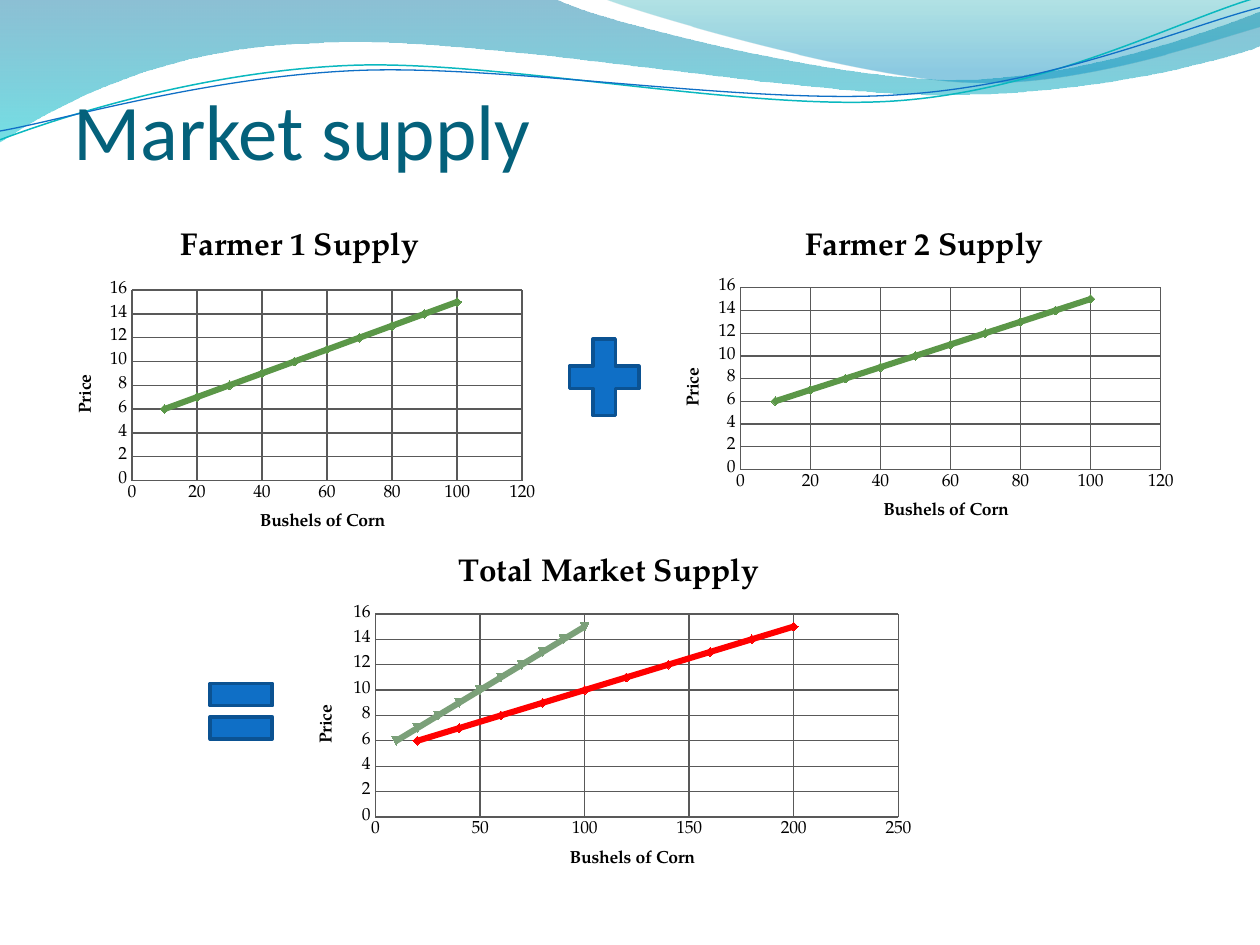
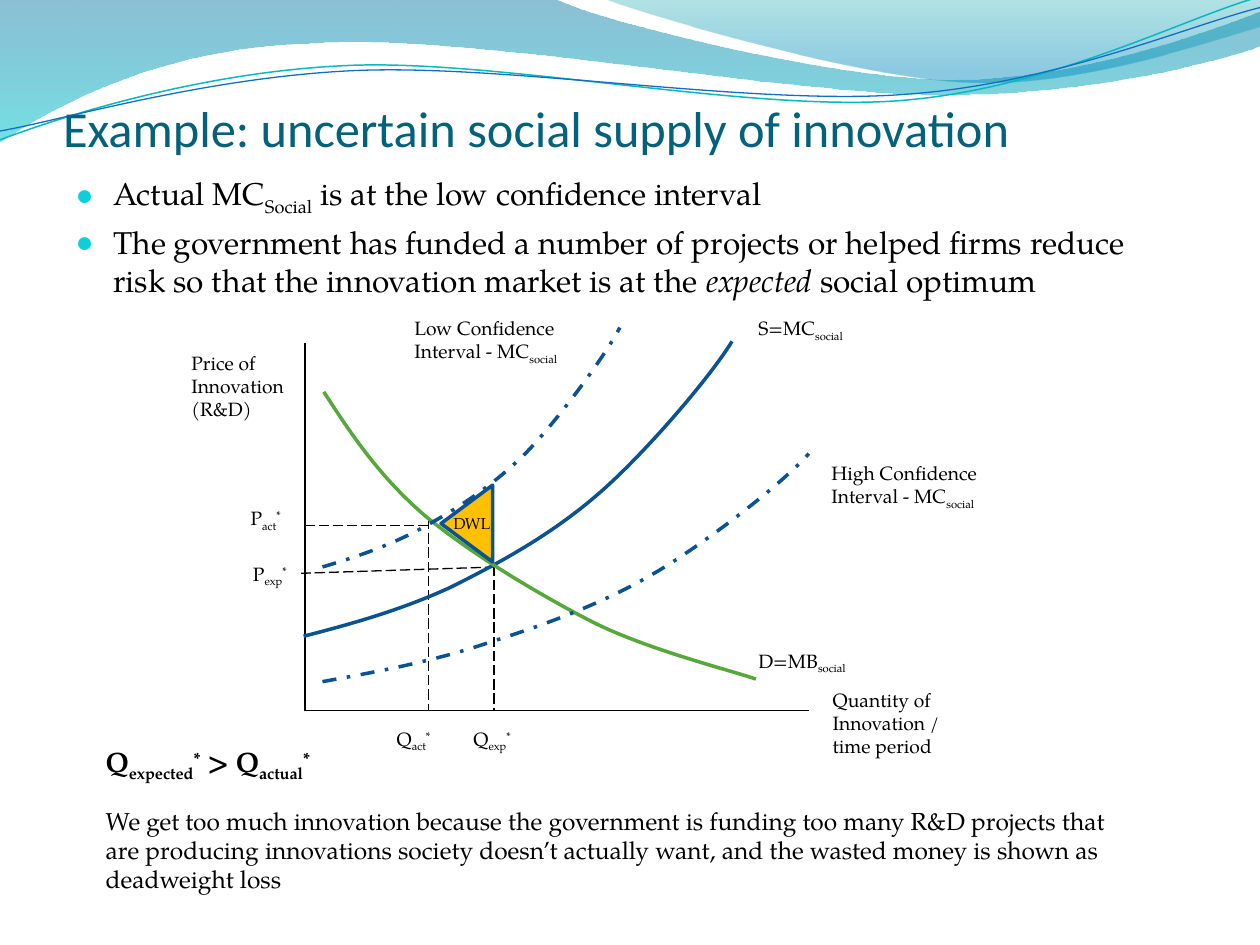
import pptx
import pptx.chart.data
import pptx.dml.color
import pptx.enum.chart
import pptx.enum.dml
import pptx.enum.shapes
import pptx.enum.text
import pptx.oxml.ns
import pptx.util
from lxml import etree

Inches = pptx.util.Inches
Pt = pptx.util.Pt
qn = pptx.oxml.ns.qn
rgb = pptx.dml.color.RGBColor.from_string
DASH = pptx.enum.dml.MSO_LINE
SHAPE = pptx.enum.shapes.MSO_SHAPE

BLACK, BLUE, NAVY, RED = "000000", "0F6FC6", "0B5292", "FF0000"
LEAF, SAGE, DEMAND_GREEN, GRID_GREY = "5B9748", "7BA079", "55A839", "595959"
SERIF = "TeX Gyre Pagella"
TITLE_LOOK = {"name": "Calibri", "bold": False}
LABEL_LOOK = {"name": SERIF, "size": Pt(11)}


def write(para, text, look, color=BLACK):
    for piece in text.split("|"):
        span = para.add_run()
        span.text = piece.lstrip("_^~")
        for key, value in look.items():
            setattr(span.font, key, value)
        span.font.color.rgb = rgb(color)
        if piece[0] in "_^":
            span.font._element.set("baseline", "-25000" if piece[0] == "_" else "30000")
        if piece[0] == "~":
            span.font.italic = True


def draw_curve(page, start, segments, color=None, width=2, dash=None):
    builder = page.shapes.build_freeform(*map(Inches, start))
    points = [pair for segment in segments for pair in zip(segment[::2], segment[1::2])]
    builder.add_line_segments([(Inches(x), Inches(y)) for x, y in points], close=color is None)
    curve = builder.convert_to_shape()
    outline = curve.element.find(".//" + qn("a:path"))
    steps = iter(outline.findall(qn("a:lnTo")))
    for segment in segments:
        bend = next(steps)
        if len(segment) == 6:
            bend.tag = qn("a:cubicBezTo")
            for follower in (next(steps), next(steps)):
                bend.append(follower[0])
                outline.remove(follower)
    curve.shadow.inherit = False
    curve.fill.background()
    if color is None:
        curve.line.fill.background()
    else:
        curve.line.color.rgb = rgb(color)
        curve.line.width = Pt(width)
        curve.line.dash_style = dash
    return curve


deck = pptx.Presentation()
deck.slide_width, deck.slide_height = Inches(10), Inches(7.5)
market_page = deck.slides.add_slide(deck.slide_layouts[5])
innovation_page = deck.slides.add_slide(deck.slide_layouts[1])

left_wave = draw_curve(market_page, (0, 0), [
    (4.4, -0.01), (4.76, 0.17, 6.64, 0.63, 7.58, 0.63), (8.53, 0.63, 9.58, 0.26, 10, 0.09),
    (10.01, 0.36), (9.83, 0.44, 8.7, 0.76, 7.46, 0.75), (6.22, 0.75, 3.82, 0.28, 2.57, 0.34),
    (1.29, 0.36, 0.46, 0.83, -0.01, 1.13), (0, 0)])
right_wave = draw_curve(market_page, (4.79, -0.01), [
    (5.09, 0.11, 6.82, 0.62, 7.69, 0.65), (8.56, 0.69, 9.61, 0.32, 10, 0.21), (10, 0),
    (4.79, -0.01)])
for wave, stops in (
    (left_wave, [("0074A1", 0, 45), ("00C6CF", 1, 55)]),
    (right_wave, [("00A1A9", 0, 30), ("008BBF", 0.8, 45)]),
):
    wave.fill.gradient()
    wave.fill.gradient_angle = 270
    for stop, (color, position, opacity) in zip(wave.fill.gradient_stops, stops):
        stop.color.rgb = rgb(color)
        stop.position = position
    for tint, (color, position, opacity) in zip(wave.element.iter(qn("a:srgbClr")), stops):
        etree.SubElement(tint, qn("a:alpha"), val=str(opacity * 1000))
teal_line = draw_curve(market_page, (0, 1.11), [
    (0.48, 0.93, 1.58, 0.57, 2.77, 0.52), (3.95, 0.47, 5.93, 0.89, 7.13, 0.8),
    (8.33, 0.71, 9.38, 0.15, 9.98, -0.02)], "0AB8BF", 0.85)
blue_line = draw_curve(market_page, (0, 1.04), [
    (0.47, 0.96, 1.64, 0.61, 2.83, 0.56), (4.03, 0.51, 5.97, 0.84, 7.17, 0.75),
    (8.36, 0.67, 9.41, 0.21, 10, 0.06)], BLUE, 0.75)
master_tree = deck.slide_master.shapes.element
for index, part in enumerate((left_wave, right_wave, teal_line, blue_line)):
    master_tree.insert(2 + index, part.element)

for page, text, left, top, size in (
    (market_page, "Market supply", 0.58, 0.92, 45),
    (innovation_page, "Example: uncertain social supply of innovation", 0.5, 0.77, 28.8),
):
    title = page.shapes.title
    title.left, title.top, title.width, title.height = map(Inches, (left, top, 9, 0.48))
    frame_format = {
        "margin_left": 0, "margin_right": 0, "margin_top": Inches(0.05), "margin_bottom": 0,
        "vertical_anchor": pptx.enum.text.MSO_ANCHOR.BOTTOM,
        "auto_size": pptx.enum.text.MSO_AUTO_SIZE.NONE, "word_wrap": True,
    }
    for key, value in frame_format.items():
        setattr(title.text_frame, key, value)
    para = title.text_frame.paragraphs[0]
    para.alignment = pptx.enum.text.PP_ALIGN.LEFT
    write(para, text, TITLE_LOOK | {"size": Pt(size)}, "04617B")

prices = range(6, 16)
single = range(10, 101, 10)
double = range(20, 201, 20)
for name, place, plot_place, supplies in (
    ("Farmer 1 Supply", (0.42, 1.67, 3.92, 2.75), (0.16, 0.23, 0.79, 0.55), [(single, LEAF)]),
    ("Farmer 2 Supply", (5.25, 1.67, 4.17, 2.67), (0.15, 0.23, 0.8, 0.54), [(single, LEAF)]),
    ("Total Market Supply", (2.33, 4.25, 5, 2.83), (0.13, 0.22, 0.83, 0.57),
     [(double, RED), (single, SAGE)]),
):
    data = pptx.chart.data.XyChartData()
    for number, (bushels, color) in enumerate(supplies, 1):
        series = data.add_series(f"Series {number}")
        for quantity, price in zip(bushels, prices):
            series.add_data_point(quantity, price)
    chart = market_page.shapes.add_chart(
        pptx.enum.chart.XL_CHART_TYPE.XY_SCATTER_SMOOTH, *map(Inches, place), data).chart
    chart.has_legend = False
    chart.font.name, chart.font.size = SERIF, Pt(10)
    chart.font.color.rgb = rgb(BLACK)
    chart.has_title = True
    write(chart.chart_title.text_frame.paragraphs[0], name,
          {"name": SERIF, "size": Pt(18), "bold": True})
    for axis, caption in (
        (chart.category_axis, "Bushels of Corn"),
        (chart.value_axis, "Price "),
    ):
        axis_format = {
            "has_major_gridlines": True, "has_title": True,
            "major_tick_mark": pptx.enum.chart.XL_TICK_MARK.NONE,
            "minor_tick_mark": pptx.enum.chart.XL_TICK_MARK.NONE,
        }
        for key, value in axis_format.items():
            setattr(axis, key, value)
        for line in (axis.format.line, axis.major_gridlines.format.line):
            line.color.rgb = rgb(GRID_GREY)
            line.width = Pt(0.75)
        write(axis.axis_title.text_frame.paragraphs[0], caption,
              {"name": SERIF, "size": Pt(10), "bold": True})
    chart.plots[0].vary_by_categories = False
    for series, (bushels, color) in zip(chart.plots[0].series, supplies):
        series.smooth = True
        series.format.line.color.rgb = rgb(color)
        series.format.line.width = Pt(3.5)
        series.marker.size = 5
        for marker_part in (series.marker.format.fill, series.marker.format.line.fill):
            marker_part.solid()
            marker_part.fore_color.rgb = rgb(color)
    plot_area = chart._chartSpace.find(".//" + qn("c:plotArea"))
    for layout in plot_area.findall(qn("c:layout")):
        plot_area.remove(layout)
    layout = etree.Element(qn("c:layout"))
    plot_area.insert(0, layout)
    manual = etree.SubElement(layout, qn("c:manualLayout"))
    for tag, value in zip(("layoutTarget", "xMode", "yMode", "x", "y", "w", "h"),
                          ("inner", "edge", "edge") + plot_place):
        etree.SubElement(manual, qn("c:" + tag), val=str(value))

body = innovation_page.placeholders[1]
body.left, body.top, body.width, body.height = map(Inches, (0.5, 1.33, 9, 5.58))
body.text_frame.auto_size = pptx.enum.text.MSO_AUTO_SIZE.NONE
for index, text in enumerate((
    "Actual MC|_Social| is at the low confidence interval",
    "The government has funded a number of projects or helped firms reduce risk so that "
    "the innovation market is at the |~expected |social optimum",
)):
    para = body.text_frame.add_paragraph() if index else body.text_frame.paragraphs[0]
    write(para, text, {"name": SERIF, "size": Pt(18)})
    para.space_before = Pt(3.6)
    properties = para._p.get_or_add_pPr()
    properties.set("marL", str(Inches(0.3)))
    properties.set("indent", str(Inches(-0.3)))
    bullet_color = etree.SubElement(properties, qn("a:buClr"))
    etree.SubElement(bullet_color, qn("a:srgbClr"), val="0BD0D9")
    etree.SubElement(properties, qn("a:buSzPct"), val="95000")
    etree.SubElement(properties, qn("a:buChar"), char="●")

axis_x, axis_y, actual_x, expected_x = 2.42, 5.64, 3.4, 3.92
for x1, y1, x2, y2, width, dash in (
    (axis_x, 2.72, axis_x, axis_y, 1, None),
    (axis_x, axis_y, 6.42, axis_y, 1, None),
    (expected_x, 4.49, expected_x, axis_y, 0.75, DASH.LONG_DASH),
    (actual_x, 4.17, 2.41, 4.17, 0.75, DASH.LONG_DASH),
    (3.93, 4.5, 2.39, 4.55, 0.75, DASH.LONG_DASH),
    (actual_x, 4.12, actual_x, axis_y, 0.75, DASH.LONG_DASH),
):
    connector = innovation_page.shapes.add_connector(
        pptx.enum.shapes.MSO_CONNECTOR.STRAIGHT, *map(Inches, (x1, y1, x2, y2)))
    connector.line.color.rgb = rgb(BLACK)
    connector.line.width = Pt(width)
    connector.line.dash_style = dash
    etree.SubElement(connector.element.spPr, qn("a:effectLst"))

draw_curve(innovation_page, (2.41, 5.05), [
    (2.8, 4.95, 3.19, 4.84, 3.58, 4.66), (3.96, 4.47, 4.37, 4.25, 4.75, 3.92),
    (5.12, 3.6, 5.64, 2.99, 5.81, 2.71)], NAVY)
draw_curve(innovation_page, (2.57, 3.11), [
    (2.79, 3.45, 3.01, 3.78, 3.37, 4.09), (3.73, 4.39, 4.28, 4.72, 4.71, 4.94),
    (5.15, 5.16, 5.8, 5.32, 6, 5.39)], DEMAND_GREEN)
draw_curve(innovation_page, (2.56, 4.5), [
    (2.83, 4.42, 3.1, 4.33, 3.37, 4.18), (3.64, 4.03, 3.92, 3.85, 4.18, 3.59),
    (4.44, 3.32, 4.8, 2.83, 4.92, 2.6)], NAVY, dash=DASH.DASH_DOT)
draw_curve(innovation_page, (2.56, 5.41), [
    (3, 5.33, 3.44, 5.25, 3.88, 5.1), (4.32, 4.96, 4.79, 4.79, 5.21, 4.54),
    (5.63, 4.29, 6.23, 3.82, 6.42, 3.6)], NAVY, dash=DASH.DASH_DOT)

for page, kind, place, rotation, color in (
    (market_page, SHAPE.MATH_PLUS, (4.42, 2.58, 0.75, 0.83), 0, BLUE),
    (market_page, SHAPE.MATH_EQUAL, (1.58, 5.27, 0.67, 0.75), 0, BLUE),
    (innovation_page, SHAPE.ISOSCELES_TRIANGLE, (3.4, 3.95, 0.61, 0.41), 270, "FFC000"),
):
    symbol = page.shapes.add_shape(kind, *map(Inches, place))
    symbol.rotation = rotation
    symbol.shadow.inherit = False
    symbol.fill.solid()
    symbol.fill.fore_color.rgb = rgb(color)
    symbol.line.color.rgb = rgb(NAVY)
    symbol.line.width = Pt(2)

conclusion = (
    "We get too much innovation because the government is funding too many R&D projects that "
    "are producing innovations society doesn’t actually want, and the wasted money is shown "
    "as deadweight loss")
for place, lines in (
    ((1.42, 2.74, 0.97, 0.66), [("Price of Innovation (R&D)", {})]),
    ((1.91, 4.41, 0.56, 0.29), [("P|_exp|^*", {})]),
    ((1.89, 3.97, 0.53, 0.29), [("P|_act|^*", {})]),
    ((3.66, 5.72, 0.54, 0.29), [("Q|_exp|^*", {})]),
    ((3.05, 5.72, 0.54, 0.29), [("Q|_act|^*", {})]),
    ((5.92, 2.46, 1.16, 0.29), [("S=MC|_social", {})]),
    ((5.92, 5.1, 1.16, 0.29), [("D=MB|_social", {})]),
    ((6.51, 5.41, 1.17, 0.66), [("Quantity of Innovation / time period", {})]),
    ((6.5, 3.61, 1.44, 0.66), [("High Confidence Interval - MC|_social", {})]),
    ((3.19, 2.46, 1.49, 0.66), [("Low Confidence Interval - MC|_social", {})]),
    ((3.5, 4.03, 0.77, 0.25), [("DWL", {"size": Pt(9)})]),
    ((0.74, 5.86, 8.24, 1.39), [
        ("Q|_expected|^*| > Q|_actual|^*", {"size": Pt(16), "bold": True}),
        (conclusion, {"size": Pt(14)})]),
):
    box = innovation_page.shapes.add_textbox(*map(Inches, place))
    box.text_frame.word_wrap = True
    box.text_frame.auto_size = pptx.enum.text.MSO_AUTO_SIZE.SHAPE_TO_FIT_TEXT
    for index, (text, look) in enumerate(lines):
        para = box.text_frame.add_paragraph() if index else box.text_frame.paragraphs[0]
        para.space_before = Pt(13 * index)
        write(para, text, LABEL_LOOK | look)

deck.save("out.pptx")
